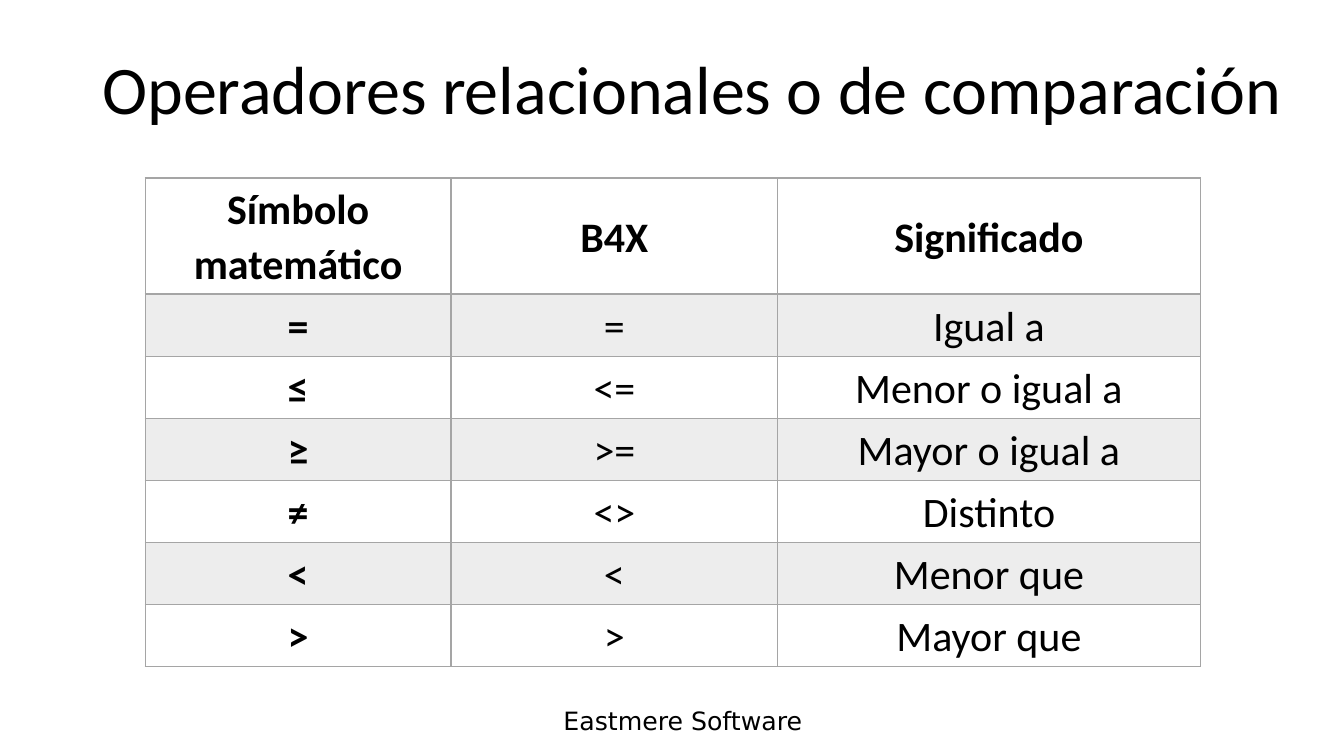
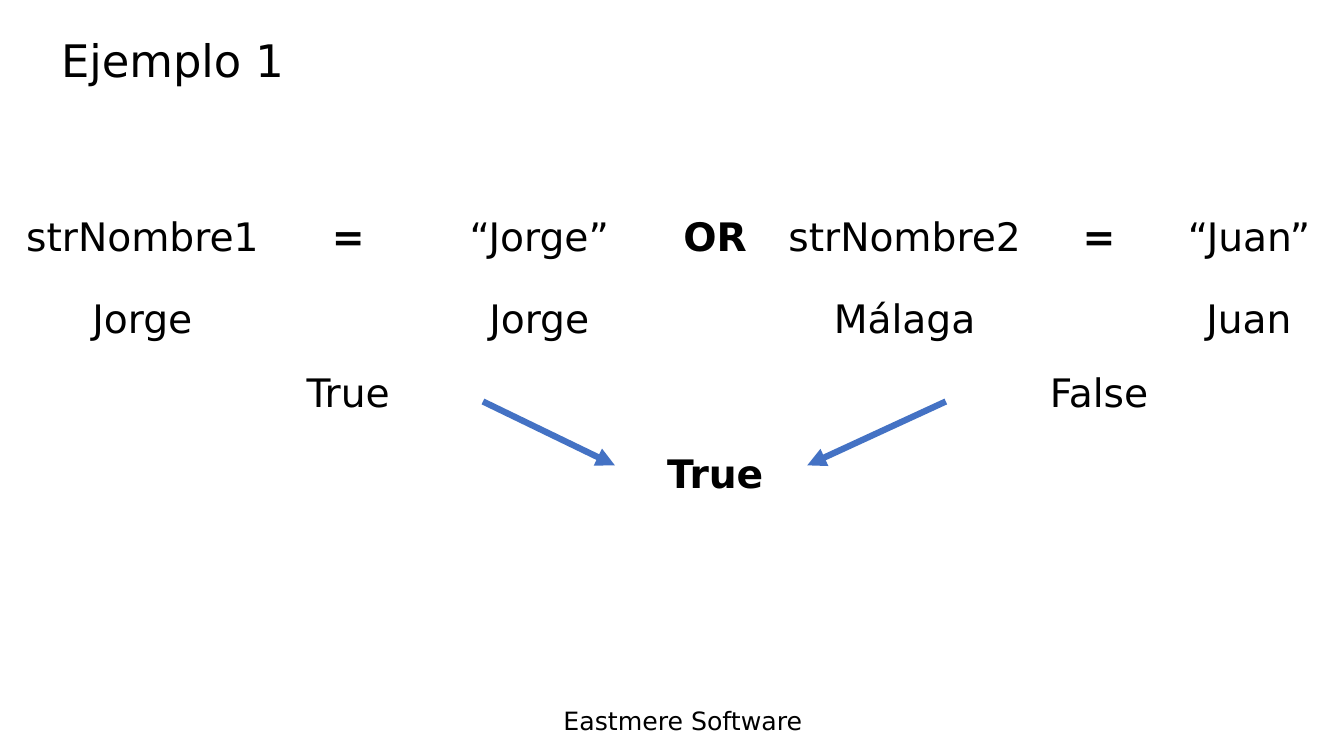
from lxml import etree
from pptx import Presentation
from pptx.dml.color import RGBColor
from pptx.enum.shapes import MSO_CONNECTOR
from pptx.enum.text import MSO_ANCHOR, PP_ALIGN
from pptx.oxml.ns import qn
from pptx.util import Inches, Pt

STRAIGHT = MSO_CONNECTOR.STRAIGHT
TOP, MIDDLE, BOTTOM = MSO_ANCHOR.TOP, MSO_ANCHOR.MIDDLE, MSO_ANCHOR.BOTTOM
LEFT, CENTER = PP_ALIGN.LEFT, PP_ALIGN.CENTER

COLORS = {"text": "000000", "rule": "A5A5A5", "band": "EDEDED", "arrow": "4472C4"}
SANS, BODY = "DejaVu Sans", "Calibri"
WIDE, HIGH = 13.33, 7.5
COLS, ROWS = 160, 90
FOOTER = "Eastmere Software"


def color(name):
    return RGBColor.from_string(COLORS[name])


class Deck:
    """Holds the style and the current slide; lengths are grid columns and rows."""

    def __init__(self):
        self.prs = Presentation()
        self.prs.slide_width, self.prs.slide_height = Inches(WIDE), Inches(HIGH)
        self.slide = None

    def x(self, cols):
        return Inches(WIDE * cols / COLS)

    def y(self, rows):
        return Inches(HIGH * rows / ROWS)

    def new(self):
        """Start a slide with the shared footer."""
        self.slide = self.prs.slides.add_slide(self.prs.slide_layouts[6])
        self.text(65.9, 83.4, 34.8, 4.8, FOOTER, 18)

    def label(self, frame, words, size, face, bold=False, align=LEFT, lead=1.0):
        """Fill the first paragraph of a text frame with one run."""
        para = frame.paragraphs[0]
        para.alignment, para.line_spacing = align, lead
        run = para.add_run()
        run.text = words
        font = run.font
        font.size, font.name, font.bold = Pt(size), face, bold
        font.color.rgb = color("text")

    def text(self, left, top, wide, high, words, size, face=SANS, anchor=TOP, lead=1.0):
        box = self.slide.shapes.add_textbox(
            self.x(left), self.y(top), self.x(wide), self.y(high))
        frame = box.text_frame
        frame.word_wrap, frame.vertical_anchor = True, anchor
        self.label(frame, words, size, face, lead=lead)

    def title(self, left, top, wide, high, words, size, face=SANS, anchor=MIDDLE):
        self.text(left, top, wide, high, words, size, face, anchor, 0.9)

    def table(self, left, top, widths, heights, rows, size, face, is_bold,
              inset, anchor=TOP, ruled=False):
        """Draw a table; ruled adds borders, a heavy header rule and bands."""
        frame = self.slide.shapes.add_table(
            len(rows), len(widths), self.x(left), self.y(top),
            self.x(sum(widths)), self.y(sum(heights)))
        grid = frame.table
        grid.first_row = grid.horz_banding = False
        for col, wide in zip(grid.columns, widths):
            col.width = self.x(wide)
        for r, words in enumerate(rows):
            grid.rows[r].height = self.y(heights[r])
            for c, word in enumerate(words):
                cell = grid.cell(r, c)
                cell.margin_left = cell.margin_right = Inches(inset)
                cell.margin_top = cell.margin_bottom = 0
                cell.vertical_anchor = anchor
                if ruled:
                    self.rule(cell, 2 if r == 1 else 1, 2 if r == 0 else 1)
                if ruled and r % 2:
                    cell.fill.solid()
                    cell.fill.fore_color.rgb = color("band")
                else:
                    cell.fill.background()
                if word:
                    self.label(cell.text_frame, word, size, face,
                               is_bold(r, c), CENTER, 1.07)

    def rule(self, cell, above, below):
        """Border a cell, with its top and bottom widths in points."""
        props = cell._tc.get_or_add_tcPr()
        for side, width in (("L", 1), ("R", 1), ("T", above), ("B", below)):
            line = etree.SubElement(props, qn(f"a:ln{side}"), w=str(Pt(width)))
            fill = etree.SubElement(line, qn("a:solidFill"))
            etree.SubElement(fill, qn("a:srgbClr"), val=COLORS["rule"])

    def arrow(self, start, end):
        link = self.slide.shapes.add_connector(
            STRAIGHT, self.x(start[0]), self.y(start[1]), self.x(end[0]), self.y(end[1]))
        link.line.width = Pt(4.5)
        link.line.color.rgb = color("arrow")
        props = link._element.spPr
        etree.SubElement(props.find(qn("a:ln")), qn("a:tailEnd"), type="triangle")
        etree.SubElement(props, qn("a:effectLst"))


def symbols(deck):
    deck.new()
    deck.title(11, 3.8, 143.9, 12.2, "Operadores relacionales o de comparación",
               48.6, BODY, BOTTOM)
    rows = [
        ("Símbolo matemático", "B4X", "Significado"),
        ("=", "=", "Igual a"),
        ("≤", "<=", "Menor o igual a"),
        ("≥", ">=", "Mayor o igual a"),
        ("≠", "<>", "Distinto"),
        ("<", "<", "Menor que"),
        (">", ">", "Mayor que"),
    ]
    deck.table(17.3, 21.2, [36.4, 38.9, 50.3], [13.8] + [7.4] * 6, rows, 30, BODY,
               lambda r, c: r == 0 or c == 0, 0.23, MIDDLE, ruled=True)


def example(deck):
    deck.new()
    deck.title(6.1, 1.8, 142.9, 11.4, "Ejemplo 1", 32)
    rows = [
        ("strNombre1", "=", "“Jorge”", "OR", "strNombre2", "=", "“Juan”"),
        ("Jorge", "", "Jorge", "", "Málaga", "", "Juan"),
        ("", "True", "", "", "", "False", ""),
        ("", "", "", "True", "", "", ""),
    ]
    deck.table(1.4, 25.3, [31.1, 17.9, 27.6, 14.3, 30.8, 15.5, 20.2], [9.7, 8.8] * 2,
               rows, 28, SANS, lambda r, c: c == 3 or (r == 0 and c in (1, 5)), 0.07)
    for start, end in ((57.5, 73.2), (112.6, 96.1)):
        deck.arrow((start, 47.8), (end, 55.4))


def main():
    deck = Deck()
    symbols(deck)
    example(deck)
    deck.prs.save("out.pptx")


if __name__ == "__main__":
    main()
